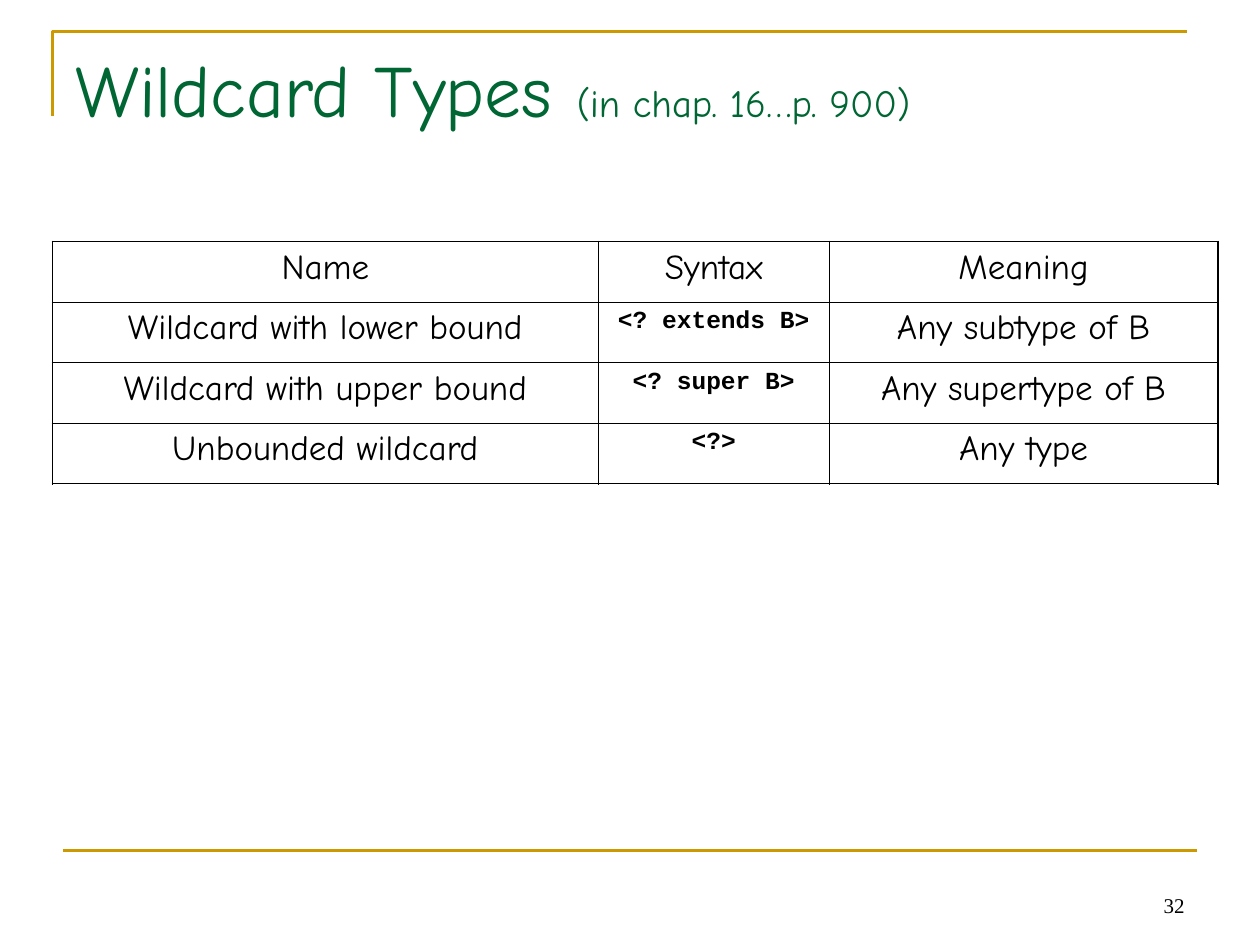
"""Build the slide on wildcard types."""
from lxml import etree
from pptx import Presentation
from pptx.dml.color import RGBColor
from pptx.enum.shapes import MSO_CONNECTOR
from pptx.enum.text import MSO_ANCHOR, PP_ALIGN
from pptx.oxml.ns import qn
from pptx.util import Cm, Pt

GOLD = RGBColor(0xCC, 0x99, 0x00)
GREEN = RGBColor(0x00, 0x66, 0x33)
BLACK = RGBColor(0x00, 0x00, 0x00)
HAND, MONO, SERIF = "Comic Neue", "Courier New", "Times New Roman"
THIN, THICK = Pt(0.45), Pt(1.08)

ROWS = [
    ("Name", "Syntax", "Meaning"),
    ("Wildcard with lower bound", "<? extends B>", "Any subtype of B"),
    ("Wildcard with upper bound", "<? super B>", "Any supertype of B"),
    ("Unbounded wildcard", "<?>", "Any type"),
]
COL_WIDTHS = [Cm(11), Cm(4.66), Cm(7.83)]
ROW_HEIGHT = Cm(1.22)


def style_font(font, name, size, color, bold=False):
    """Set the typeface, size, colour and weight of a font."""
    font.name, font.size, font.bold = name, Pt(size), bold
    font.color.rgb = color


def style_line(sp):
    """Give a shape a thin gold outline."""
    sp.line.color.rgb = GOLD
    sp.line.width = Pt(1.5)


def add_corner(s):
    """Draw the corner line around the title."""
    left, top = Cm(1.06), Cm(0.64)
    fb = s.shapes.build_freeform(left, Cm(2.33))
    fb.add_line_segments([(left, top), (Cm(23.92), top)], close=False)
    sp = fb.convert_to_shape()
    sp.shadow.inherit = False
    sp.fill.background()
    style_line(sp)


def add_rule(s):
    """Draw the line above the footer."""
    y = Cm(17.15)
    sp = s.shapes.add_connector(MSO_CONNECTOR.STRAIGHT, Cm(1.27), y, Cm(24.13), y)
    style_line(sp)
    etree.SubElement(sp._element.spPr, qn("a:effectLst"))


def add_text(s, box, runs, font, color, align=PP_ALIGN.LEFT, anchor=MSO_ANCHOR.TOP):
    """Add a one-paragraph text box from (text, size) runs."""
    tf = s.shapes.add_textbox(*box).text_frame
    tf.word_wrap = True
    tf.vertical_anchor = anchor
    p = tf.paragraphs[0]
    p.alignment = align
    for text, size in runs:
        r = p.add_run()
        r.text = text
        style_font(r.font, font, size, color)


def set_borders(cell, widths):
    """Draw the left, right, top and bottom borders of a cell."""
    tc_pr = cell._tc.get_or_add_tcPr()
    for i, (side, width) in enumerate(zip("LRTB", widths)):
        ln = etree.Element(qn(f"a:ln{side}"), w=str(width))
        fill = etree.SubElement(ln, qn("a:solidFill"))
        etree.SubElement(fill, qn("a:srgbClr"), val=str(BLACK))
        tc_pr.insert(i, ln)


def add_wildcard_table(s):
    """Add the table of wildcard types with a heavier outer border."""
    n_rows, n_cols = len(ROWS), len(COL_WIDTHS)
    table = s.shapes.add_table(n_rows, n_cols, Cm(1.06), Cm(4.87),
                               sum(COL_WIDTHS), ROW_HEIGHT * n_rows).table
    for col, width in zip(table.columns, COL_WIDTHS):
        col.width = width
    for i, texts in enumerate(ROWS):
        table.rows[i].height = ROW_HEIGHT
        for j, text in enumerate(texts):
            cell = table.cell(i, j)
            cell.fill.background()
            outer = (j == 0, j == n_cols - 1, i == 0, i == n_rows - 1)
            set_borders(cell, [THICK if edge else THIN for edge in outer])
            p = cell.text_frame.paragraphs[0]
            p.text = text
            p.alignment = PP_ALIGN.CENTER
            is_code = i > 0 and j == 1
            style_font(p.font, MONO if is_code else HAND,
                       14 if is_code else 20, BLACK, is_code)


def main():
    """Build and save the presentation."""
    prs = Presentation()
    prs.slide_width, prs.slide_height = Cm(25.4), Cm(19.05)
    s = prs.slides.add_slide(prs.slide_layouts[6])
    add_corner(s)
    add_rule(s)
    add_text(s, (Cm(18.2), Cm(17.36), Cm(5.93), Cm(1.27)), [("32", 12)],
             SERIF, BLACK, PP_ALIGN.RIGHT, MSO_ANCHOR.BOTTOM)
    add_text(s, (Cm(1.27), Cm(0.76), Cm(22.86), Cm(3.18)),
             [("Wildcard Types ", 42), ("(in chap. 16…p. 900)", 22)], HAND, GREEN)
    add_wildcard_table(s)
    prs.save("out.pptx")


if __name__ == "__main__":
    main()
